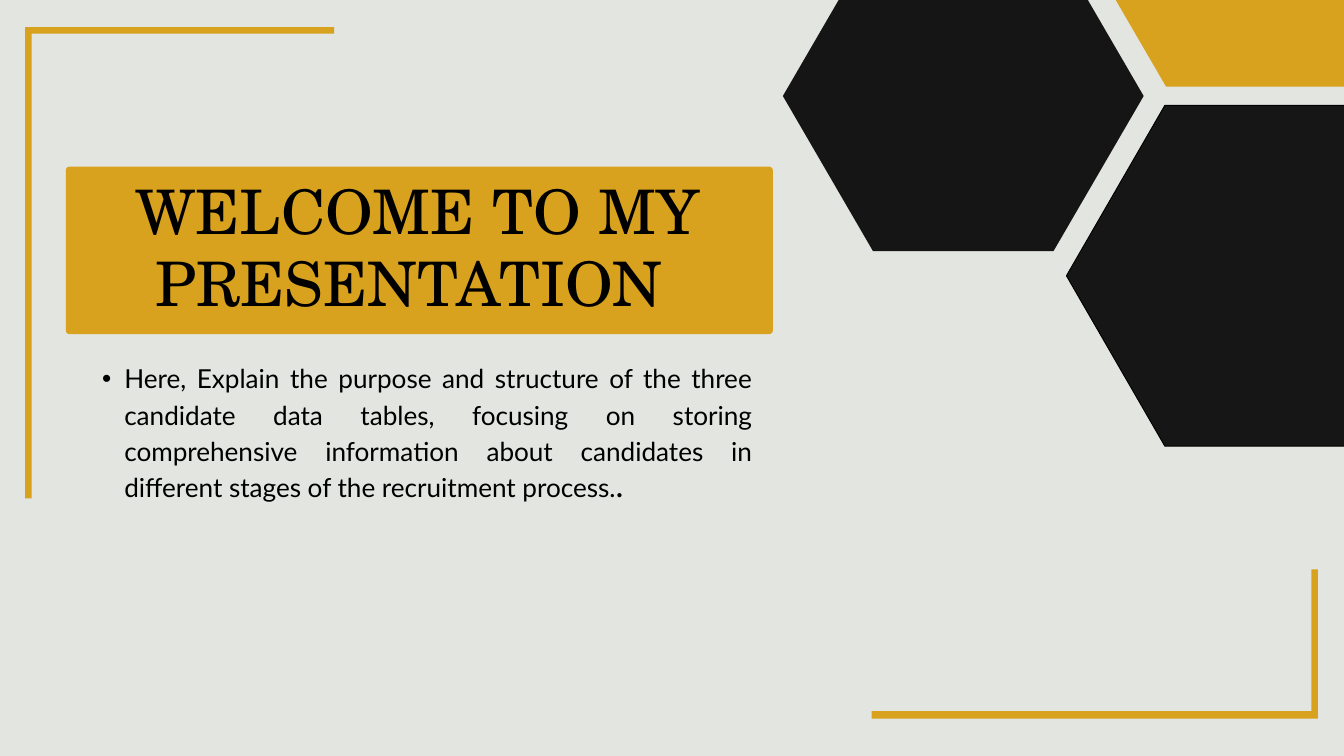
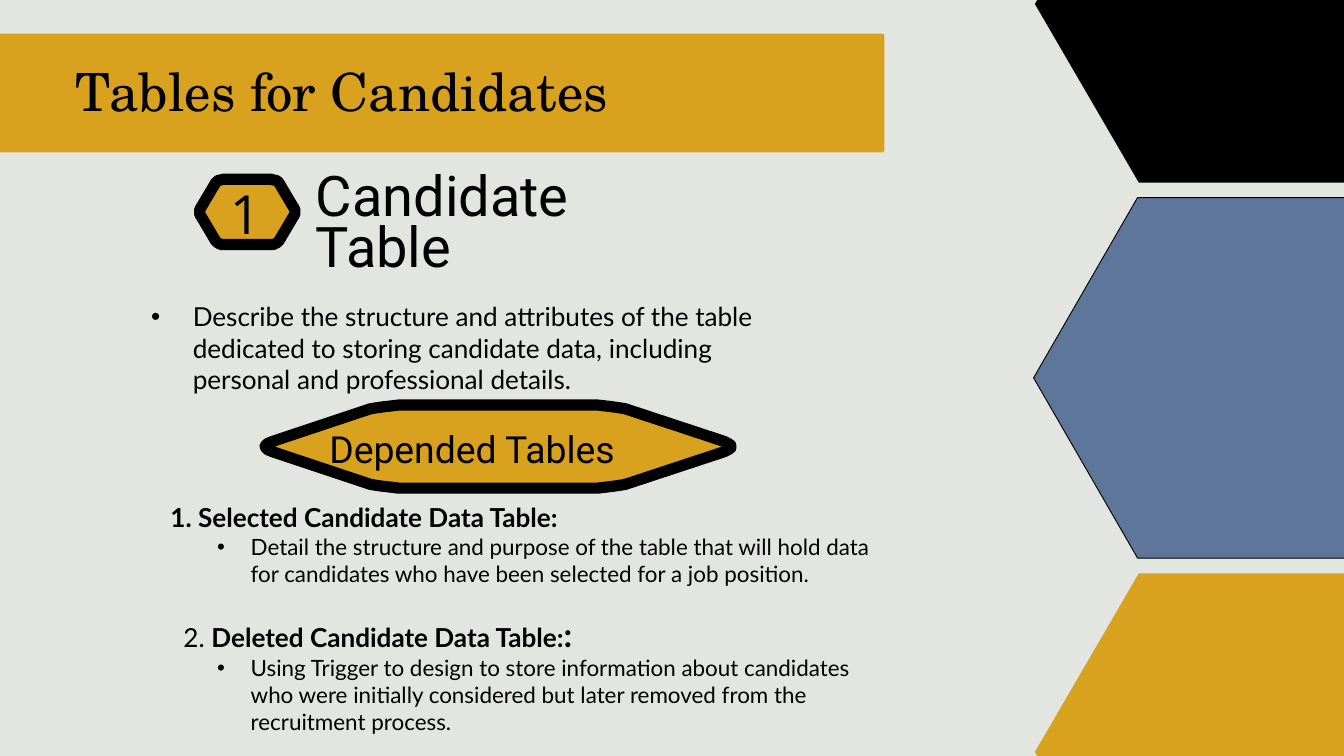
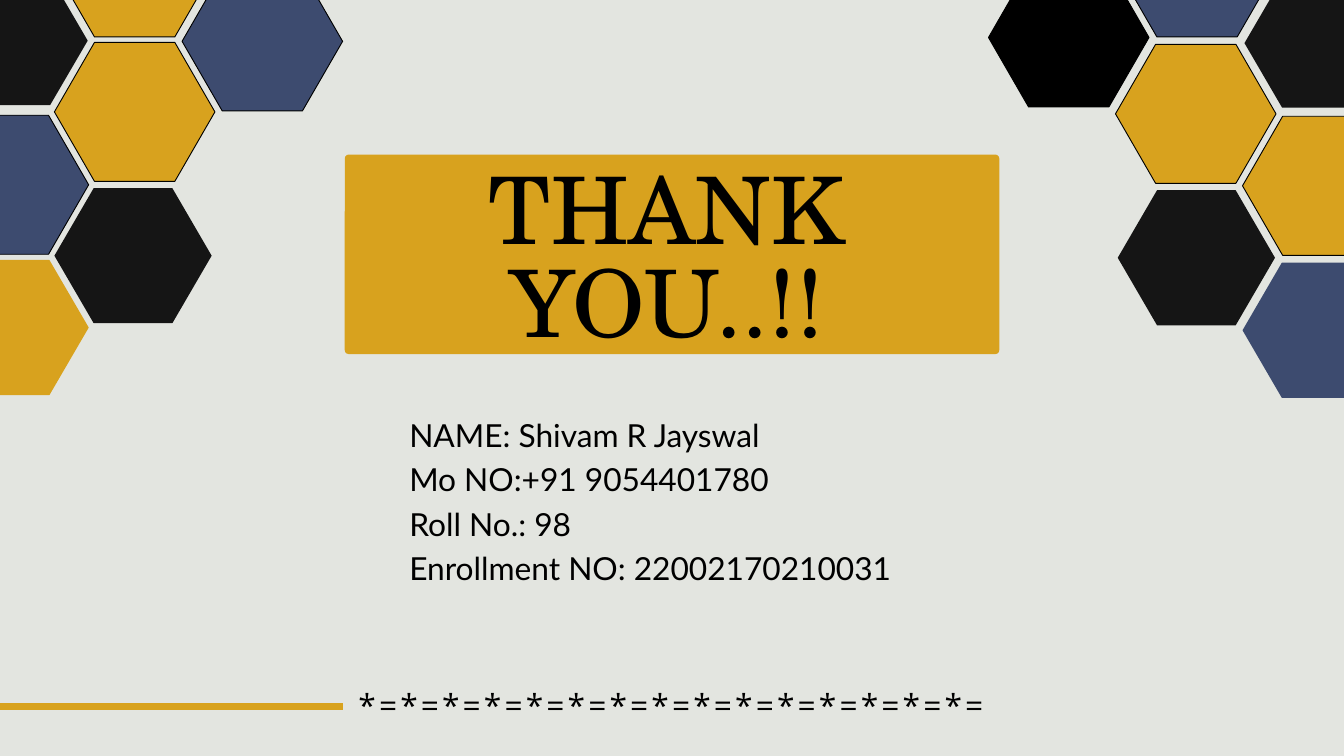
import pptx
import pptx.dml.color
import pptx.enum.shapes
import pptx.enum.text
import pptx.oxml
import pptx.oxml.ns
import pptx.util

Pt = pptx.util.Pt
SHAPE = pptx.enum.shapes.MSO_SHAPE
ALIGN = pptx.enum.text.PP_ALIGN
qn = pptx.oxml.ns.qn

PAPER, GOLD, BLACK = "E3E5E0", "D8A21E", "000000"
CHARCOAL, STEEL, NAVY = "151515", "5E7699", "3D4B6F"
SERIF, BODY, LABEL, SYMBOL = "TeX Gyre Schola", "Lato", "Roboto", "Open Sans"
EMU_PER_POINT = 12700

LARGE_CELL, MEDIUM_CELL, SMALL_CELL = (172, 149), (168.5, 144.8), (161.3, 138.4)


def color(hex_value):
    return pptx.dml.color.RGBColor.from_string(hex_value)


def paint(shape, fill, outline=0):
    shape.shadow.inherit = False
    shape.fill.solid()
    shape.fill.fore_color.rgb = color(fill)
    if outline:
        shape.line.color.rgb = color(BLACK)
        shape.line.width = Pt(outline)
    else:
        shape.line.fill.background()


def add_preset(slide, kind, box, corner, fill, outline=0):
    shape = slide.shapes.add_shape(kind, *map(Pt, box))
    shape.adjustments[0] = corner
    paint(shape, fill, outline)


def add_hexagon(slide, left, top, size, fill, outline=0):
    """Flat-topped hexagon whose slanted sides take a quarter of the width each."""
    width, height = size
    add_preset(slide, SHAPE.HEXAGON, (left, top, width, height),
               0.25 * width / height, fill, outline)


def add_banner(slide, box):
    add_preset(slide, SHAPE.ROUNDED_RECTANGLE, box, 0.02, GOLD)


def add_outline(slide, points, fill, outline=0):
    builder = slide.shapes.build_freeform(*points[0], scale=EMU_PER_POINT)
    builder.add_line_segments(points[1:], close=True)
    paint(builder.convert_to_shape(), fill, outline)


def add_bracket(slide, x, y, across, down, thickness=7):
    """L-shaped frame corner; negative lengths run left and up."""
    inner_x = x + (thickness if across > 0 else -thickness)
    inner_y = y + (thickness if down > 0 else -thickness)
    add_outline(slide, [(x, y), (x + across, y), (x + across, inner_y),
                        (inner_x, inner_y), (inner_x, y + down), (x, y + down)], GOLD)


def between(start, end, share):
    return tuple(a + (b - a) * share for a, b in zip(start, end))


def add_badge(slide, left, top, width, height, inset, cut=0.12, steps=6):
    """Hexagon with softened corners and a thick black border."""
    right, bottom, middle = left + width, top + height, top + height / 2
    corners = [(left, middle), (left + inset, top), (right - inset, top),
               (right, middle), (right - inset, bottom), (left + inset, bottom)]
    points = []
    for index, corner in enumerate(corners):
        start = between(corner, corners[index - 1], cut)
        end = between(corner, corners[(index + 1) % len(corners)], cut)
        for step in range(steps + 1):
            share = step / steps
            points.append(between(between(start, corner, share),
                                  between(corner, end, share), share))
    add_outline(slide, points, GOLD, 12)


def set_indent(paragraph, left, first, bullet):
    properties = paragraph._p.get_or_add_pPr()
    properties.set("marL", str(Pt(left)))
    properties.set("indent", str(Pt(first)))
    if bullet:
        for tag, key, value in (("a:buFont", "typeface", "Arial"), ("a:buChar", "char", "•")):
            mark = pptx.oxml.parse_xml(f"<{tag} {pptx.oxml.ns.nsdecls('a')}/>")
            mark.set(key, value)
            properties.append(mark)


def write_paragraph(paragraph, runs, indent=(0, 0), bullet=False, **layout):
    """Each run is (text, font, size) with an optional bold flag."""
    for name, value in layout.items():
        setattr(paragraph, name, value)
    set_indent(paragraph, *indent, bullet)
    for text, font, size, *bold in runs:
        run = paragraph.add_run()
        run.text = text
        run.font.color.rgb = color(BLACK)
        style = {"name": font, "size": Pt(size), "bold": bool(bold)}
        for name, value in style.items():
            setattr(run.font, name, value)


def fill_frame(shape, paragraphs, margin=0):
    frame = shape.text_frame
    settings = {"word_wrap": True, "auto_size": pptx.enum.text.MSO_AUTO_SIZE.NONE,
                "vertical_anchor": pptx.enum.text.MSO_ANCHOR.TOP}
    settings.update({f"margin_{side}": Pt(margin)
                     for side in ("left", "top", "right", "bottom")})
    for name, value in settings.items():
        setattr(frame, name, value)
    for index, content in enumerate(paragraphs):
        paragraph = frame.add_paragraph() if index else frame.paragraphs[0]
        write_paragraph(paragraph, **content)


def add_text(slide, box, paragraphs, margin=0, tracking=0):
    shape = slide.shapes.add_textbox(*map(Pt, box))
    fill_frame(shape, paragraphs, margin)
    if tracking:
        for properties in shape.element.iter(qn("a:rPr")):
            properties.set("spc", str(round(tracking * 100)))


def set_title(slide, box, text, size, leading, alignment=ALIGN.CENTER):
    title = slide.shapes.title
    slide.shapes.element.append(title.element)
    for name, value in zip(("left", "top", "width", "height"), box):
        setattr(title, name, Pt(value))
    fill_frame(title, [dict(runs=[(text, SERIF, size)], line_spacing=Pt(leading),
                            alignment=alignment)])


def add_rule(slide, start, end, y, width):
    rule = slide.shapes.add_connector(pptx.enum.shapes.MSO_CONNECTOR.STRAIGHT,
                                      Pt(start), Pt(y), Pt(end), Pt(y))
    rule.line.color.rgb = color(GOLD)
    rule.line.width = Pt(width)
    rule.element.spPr.append(
        pptx.oxml.parse_xml(f"<a:effectLst {pptx.oxml.ns.nsdecls('a')}/>"))


def build_welcome(slide):
    add_banner(slide, (70.6, 178.6, 757.4, 179.3))
    add_hexagon(slide, 838.8, -63.4, (386.6, 332.6), CHARCOAL)
    add_hexagon(slide, 1142.6, 113, (421.6, 365), "161616", 1)
    add_hexagon(slide, 1152.7, -239.8, (386.6, 332.6), GOLD)
    add_bracket(slide, 26.8, 28.8, 331.5, 505.4)
    add_bracket(slide, 1412, 769.5, -477.5, -159)
    set_title(slide, (91.4, 186.5, 712, 157.7), "WELCOME TO MY PRESENTATION ", 65.8, 77.6)
    purpose = ("Here, Explain the purpose and structure of the three candidate data tables, "
               "focusing on storing comprehensive information about candidates in different "
               "stages of the recruitment process.")
    add_text(slide, (85.7, 383, 720, 198), [
        dict(runs=[(purpose, BODY, 28), (".", BODY, 36)], indent=(47.5, -23.75), bullet=True,
             alignment=ALIGN.JUSTIFY, line_spacing=Pt(39.2))])


def build_tables(slide):
    add_hexagon(slide, 1107.4, 211.7, (445.7, 386.3), STEEL, 1)
    add_hexagon(slide, 1108.8, 614.2, (445.7, 383), GOLD)
    add_hexagon(slide, 1108.8, -187.2, (445.7, 383), BLACK)
    add_banner(slide, (-264, 36, 1211.6, 127.4))
    set_title(slide, (81, 74.9, 934, 57), "Tables for Candidates", 56.4, 55.8, ALIGN.LEFT)

    add_badge(slide, 212.4, 192.2, 105.1, 69.9, 21)
    add_text(slide, (338.4, 190, 355.7, 165.6),
             [dict(runs=[("Candidate Table", LABEL, 60)], line_spacing=Pt(54.3))])
    add_text(slide, (223.2, 195.1, 79.2, 47.5),
             [dict(runs=[("1", SYMBOL, 57.8)], alignment=ALIGN.CENTER,
                   line_spacing=Pt(67.6))], tracking=-2.8)
    structure = ("Describe the structure and attributes of the table dedicated to storing "
                 "candidate data, including personal and professional details.")
    add_text(slide, (158.4, 318.7, 704, 110), [
        dict(runs=[(structure, BODY, 28)], indent=(44.6, -44.6), bullet=True)], margin=3.6)

    add_badge(slide, 275.8, 434.2, 515.5, 88.6, 131)
    add_text(slide, (352.8, 450, 398, 54.7),
             [dict(runs=[("Depended Tables", LABEL, 40)], line_spacing=Pt(54.3))])
    selected = ("Detail the structure and purpose of the table that will hold data for "
                "candidates who have been selected for a job position.")
    deleted = ("Using Trigger to design to store information about candidates who were "
               "initially considered but later removed from the recruitment process.")
    detail = dict(indent=(108, -36), bullet=True)
    add_text(slide, (157, 534.2, 790.8, 272), [
        dict(runs=[("1. Selected Candidate Data Table:", BODY, 28, True)], indent=(22, 0)),
        dict(runs=[(selected, BODY, 24)], **detail),
        dict(runs=[("2. ", BODY, 28), ("Deleted Candidate Data Table:", BODY, 28, True),
                   (":", BODY, 36, True)], indent=(36, 0), space_before=Pt(28.8)),
        dict(runs=[(deleted, BODY, 24)], **detail)], margin=3.6)


def build_thanks(slide):
    add_banner(slide, (369.4, 165.6, 701.3, 213.8))
    honeycomb = [
        (1196.6, -109.4, LARGE_CELL, NAVY, 1), (1333.4, -23, SMALL_CELL, CHARCOAL, 0),
        (1195.2, 47.5, LARGE_CELL, GOLD, 1), (1331.3, 124.6, LARGE_CELL, GOLD, 1),
        (1197.6, 203.8, MEDIUM_CELL, CHARCOAL, 0), (1331.3, 281.5, MEDIUM_CELL, NAVY, 0),
        (1059.1, -34.3, LARGE_CELL, BLACK, 1), (-73.4, 278.6, MEDIUM_CELL, GOLD, 0),
        (-77, 123.5, LARGE_CELL, NAVY, 1), (58.3, 201.6, MEDIUM_CELL, CHARCOAL, 0),
        (-67.3, -25.6, SMALL_CELL, CHARCOAL, 0), (58.3, -109.4, LARGE_CELL, GOLD, 1),
        (58.3, 45.4, LARGE_CELL, GOLD, 1), (195.1, -30.2, LARGE_CELL, NAVY, 1)]
    for cell in honeycomb:
        add_hexagon(slide, *cell)
    add_text(slide, (303, 727.9, 833, 45.4), [
        dict(runs=[("*=" * 15, SYMBOL, 34)], alignment=ALIGN.CENTER,
             line_spacing=Pt(47.6))], tracking=3.4)
    add_rule(slide, -14, 367.2, 756.7, 7.5)
    set_title(slide, (369.4, 183.6, 689.8, 202.3), "THANK YOU..!!", 99.8, 98.8)
    contact = ["NAME: Shivam R Jayswal", "Mo NO:+91 9054401780",
               "Roll No.: 98", "Enrollment NO: 22002170210031"]
    add_text(slide, (438.5, 438.6, 960, 193), [
        dict(runs=[(line, BODY, 34)], alignment=ALIGN.JUSTIFY, line_spacing=Pt(47.6))
        for line in contact])


def main():
    deck = pptx.Presentation()
    deck.slide_width, deck.slide_height = Pt(1440), Pt(810)
    backdrop = deck.slide_master.background.fill
    backdrop.solid()
    backdrop.fore_color.rgb = color(PAPER)
    title_only = deck.slide_layouts[5]
    for build in (build_welcome, build_tables, build_thanks):
        build(deck.slides.add_slide(title_only))
    deck.save("out.pptx")


if __name__ == "__main__":
    main()
